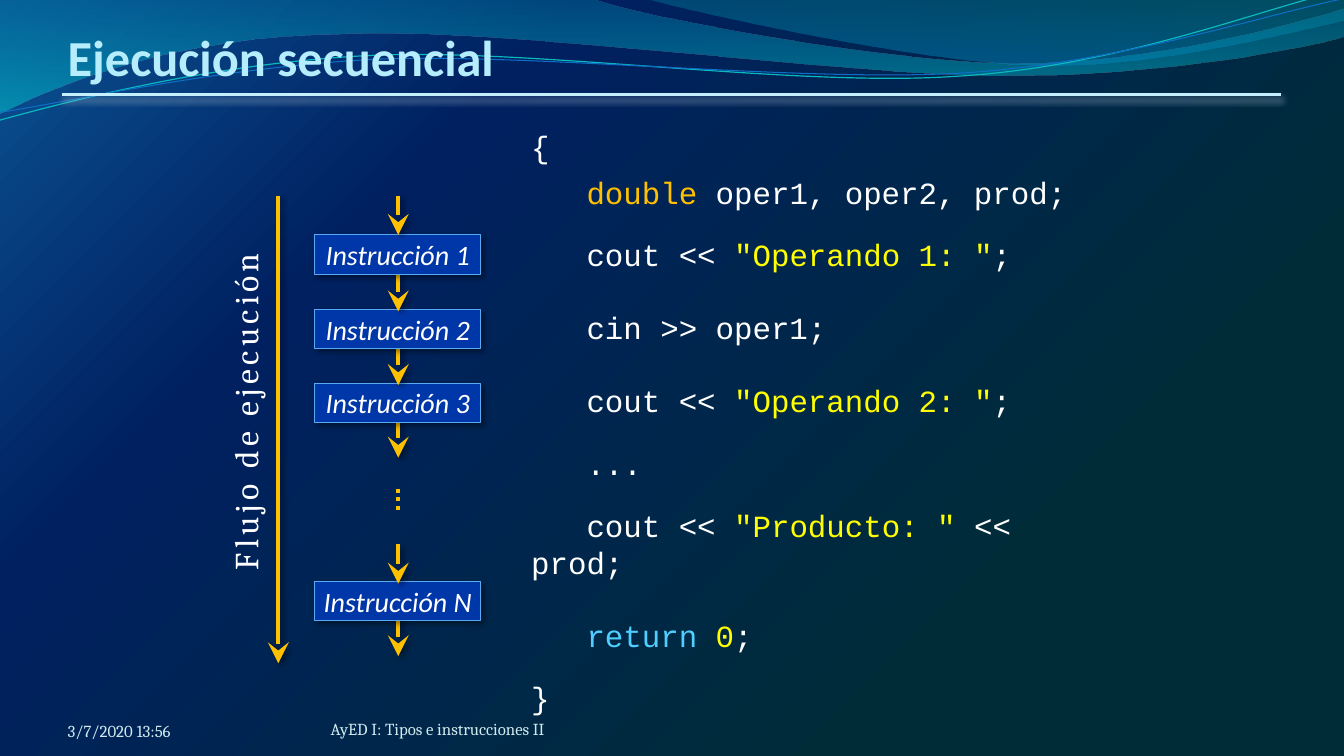
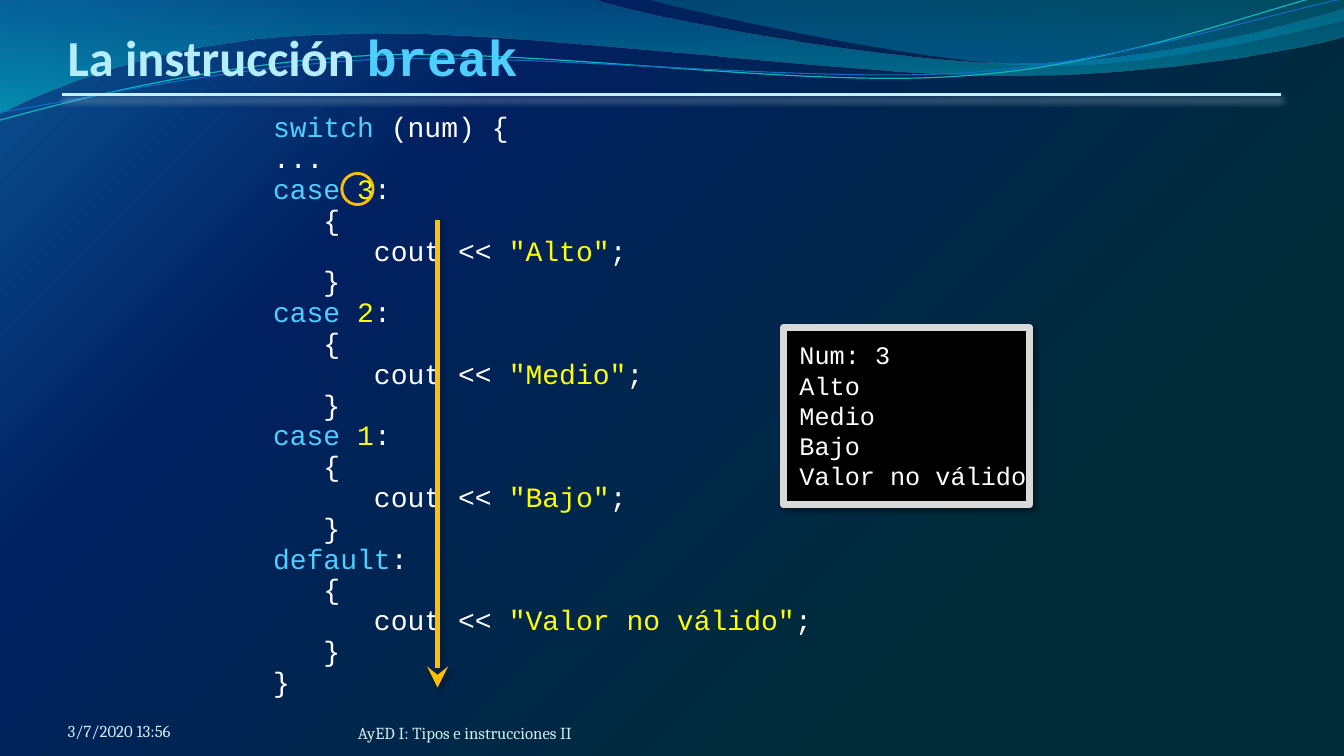
from dataclasses import dataclass
from typing import NamedTuple, Optional, Sequence

import pptx
import pptx.dml.color
import pptx.enum.dml
import pptx.enum.shapes
import pptx.enum.text
import pptx.oxml.ns
import pptx.util
from lxml import etree

PX = 9144
WHITE, AMBER, YELLOW, SKY = "FFFFFF", "FFC000", "FFFF00", "4FCEFF"
TITLE_COLOR, FOOTER_COLOR = "B5EDFD", "D1EAEE"
SANS, SERIF, MONO = "Calibri", "Cambria", "Courier New"
ANCHOR = pptx.enum.text.MSO_ANCHOR
ALIGN = pptx.enum.text.PP_ALIGN
SHAPE = pptx.enum.shapes.MSO_SHAPE
DATE = "3/7/2020 13:56"
COURSE = "AyED I: Tipos e instrucciones II"


class Box(NamedTuple):
    left: int
    top: int
    width: int
    height: int


class Stop(NamedTuple):
    position: int
    color: str
    opacity: int = 100


class Shadow(NamedTuple):
    color: str
    opacity: int
    blur: float
    distance: float
    angle: int


class Step(NamedTuple):
    label: str
    top: int
    arrow_top: int


@dataclass(frozen=True)
class Run:
    text: str
    color: str = WHITE
    font: str = MONO


@dataclass(frozen=True)
class Line:
    runs: Sequence[Run]
    after: int = 0


@dataclass(frozen=True)
class Style:
    size: int
    bold: bool = False
    italic: bool = False
    outline: Optional[str] = None
    tracking: int = 0
    leading: Optional[int] = None
    align: ALIGN = ALIGN.LEFT
    anchor: ANCHOR = ANCHOR.TOP
    insets: Sequence[int] = (10, 5, 10, 5)
    wrap: bool = True


@dataclass(frozen=True)
class Wave:
    start: Sequence[int]
    segments: Sequence[Sequence[int]]
    stops: Sequence[Stop] = ()
    line: str = ""
    weight: float = 0
    rotation: float = 0


SOFT = Shadow("000000", 40, 4, 3, 45)
RULE_SHADOW = Shadow("9FB5C8", 48, 4.5, 3, 90)
BACKDROP = (Stop(0, "0B5394"), Stop(28, "002060"), Stop(76, "002C38"))
WAVES = (
    Wave((0, 0), ((587, -1), (634, 17, 885, 63, 1011, 63), (1138, 63, 1278, 26, 1333, 9),
                  (1335, 36), (1311, 44, 1160, 76, 994, 75), (829, 75, 509, 28, 343, 34),
                  (172, 36, 61, 83, -1, 113)),
         (Stop(0, "0074A1", 45), Stop(100, "00C6CF", 55))),
    Wave((639, -1), ((679, 11, 909, 62, 1025, 65), (1141, 69, 1282, 32, 1333, 21), (1333, 0)),
         (Stop(0, "00A1A9", 30), Stop(80, "008BBF", 45))),
    Wave((-3, 88), ((63, 73, 211, 41, 369, 41), (528, 41, 788, 93, 949, 89),
                    (1109, 87, 1254, 36, 1333, 22)), line="0AB8BF", weight=0.85, rotation=357.3),
    Wave((-2, 80), ((62, 74, 218, 45, 378, 45), (537, 47, 795, 88, 954, 86),
                    (1114, 83, 1256, 42, 1336, 30)), line="0F6FC6", weight=0.75, rotation=357.3),
)
STEPS = (
    Step("Instrucción N", 577, 540),
    Step("Instrucción 3", 380, 343),
    Step("Instrucción 2", 307, 270),
    Step("Instrucción 1", 233, 194),
)
TITLE = Style(36, bold=True, outline="0070C0", anchor=ANCHOR.BOTTOM, insets=(0, 5, 0, 0))
FOOTER = Style(12, anchor=ANCHOR.BOTTOM, insets=(0, 0, 0, 0))
STEP = Style(20, italic=True, align=ALIGN.CENTER, anchor=ANCHOR.MIDDLE, insets=(8, 4, 8, 4))


def rgb(value: str) -> pptx.dml.color.RGBColor:
    return pptx.dml.color.RGBColor.from_string(value)


def emu(*lengths: int) -> list:
    return [pptx.util.Emu(length * PX) for length in lengths]


def add_node(parent: etree._Element, tag: str, **attributes) -> etree._Element:
    node = etree.SubElement(parent, pptx.oxml.ns.qn(tag))
    for name, value in attributes.items():
        node.set(name, str(value))
    return node


def add_color(parent: etree._Element, color: str, opacity: int) -> None:
    node = add_node(parent, "a:srgbClr", val=color)
    if opacity < 100:
        add_node(node, "a:alpha", val=opacity * 1000)


def set_gradient(owner, element: etree._Element, stops: Sequence[Stop], radial: bool = False) -> None:
    owner.fill.gradient()
    gradient = next(element.iter(pptx.oxml.ns.qn("a:gradFill")))
    for child in list(gradient):
        gradient.remove(child)
    stop_list = add_node(gradient, "a:gsLst")
    for stop in stops:
        add_color(add_node(stop_list, "a:gs", pos=stop.position * 1000), stop.color, stop.opacity)
    if radial:
        add_node(add_node(gradient, "a:path", path="circle"), "a:fillToRect", l=0, t=0, r=100000, b=100000)
    else:
        add_node(gradient, "a:lin", ang=90 * 60000, scaled=0)


def set_shadow(shape, shadow: Optional[Shadow] = None) -> None:
    effects = add_node(shape._element.spPr, "a:effectLst")
    if shadow:
        outer = add_node(effects, "a:outerShdw", blurRad=int(shadow.blur * 12700),
                         dist=int(shadow.distance * 12700), dir=shadow.angle * 60000,
                         algn="ctr", rotWithShape=0)
        add_color(outer, shadow.color, shadow.opacity)


def set_line(shape, color: str, weight: float) -> None:
    shape.line.color.rgb = rgb(color)
    shape.line.width = pptx.util.Pt(weight)


def write(shape, lines: Sequence[Line], style: Style) -> None:
    frame = shape.text_frame
    frame.word_wrap = style.wrap
    frame.vertical_anchor = style.anchor
    frame.margin_left, frame.margin_top, frame.margin_right, frame.margin_bottom = emu(*style.insets)
    for index, line in enumerate(lines):
        paragraph = frame.add_paragraph() if index else frame.paragraphs[0]
        paragraph.alignment = style.align
        paragraph.space_after = pptx.util.Pt(line.after)
        if style.leading:
            paragraph.line_spacing = pptx.util.Pt(style.leading)
        for part in line.runs:
            run = paragraph.add_run()
            run.text = part.text
            font = run.font
            font.name, font.size = part.font, pptx.util.Pt(style.size)
            font.bold, font.italic = style.bold, style.italic
            font.color.rgb = rgb(part.color)
            properties = run._r.get_or_add_rPr()
            if style.tracking:
                properties.set("spc", str(style.tracking * 100))
            if style.outline:
                outline = add_node(properties, "a:ln", w=9525)
                add_color(add_node(outline, "a:solidFill"), style.outline, 100)
                properties.insert(0, outline)


def add_text(slide, box: Box, lines: Sequence[Line], style: Style):
    shape = slide.shapes.add_textbox(*emu(*box))
    write(shape, lines, style)
    return shape


def add_panel(slide, kind: SHAPE, box: Box, line: str, weight: float,
              fill: Optional[str] = None, shadow: Optional[Shadow] = None):
    shape = slide.shapes.add_shape(kind, *emu(*box))
    if fill:
        shape.fill.solid()
        shape.fill.fore_color.rgb = rgb(fill)
    else:
        shape.fill.background()
    set_line(shape, line, weight)
    set_shadow(shape, shadow)
    return shape


def add_rule(slide, start: Sequence[int], end: Sequence[int], color: str = AMBER,
             weight: float = 3, shadow: Optional[Shadow] = None):
    connector = slide.shapes.add_connector(
        pptx.enum.shapes.MSO_CONNECTOR.STRAIGHT, *emu(*start, *end))
    set_line(connector, color, weight)
    set_shadow(connector, shadow)
    return connector


def add_down_arrow(slide, x: int, top: int, length: int) -> None:
    connector = add_rule(slide, (x, top), (x, top + length), shadow=SOFT)
    add_node(connector.line._get_or_add_ln(), "a:tailEnd", type="stealth", w="lg", len="lg")


def bend_segments(properties: etree._Element, wave: Wave) -> None:
    vertices = iter(list(properties.iter(pptx.oxml.ns.qn("a:lnTo"))))
    for segment in wave.segments:
        steps = [next(vertices) for _ in range(len(segment) // 2)]
        if len(steps) == 3:
            outline = steps[0].getparent()
            curve = add_node(outline, "a:cubicBezTo")
            outline.replace(steps[0], curve)
            for step in steps:
                curve.append(step[0])
            for step in steps[1:]:
                outline.remove(step)


def add_wave(slide, wave: Wave) -> None:
    builder = slide.shapes.build_freeform(*wave.start, scale=PX)
    vertices = [point for segment in wave.segments for point in zip(segment[::2], segment[1::2])]
    builder.add_line_segments(vertices, close=bool(wave.stops))
    shape = builder.convert_to_shape()
    bend_segments(shape._element.spPr, wave)
    shape.rotation = wave.rotation
    if wave.stops:
        set_gradient(shape, shape._element.spPr, wave.stops)
        shape.line.fill.background()
    else:
        shape.fill.background()
        set_line(shape, wave.line, wave.weight)
    set_shadow(shape)


def add_base_slide(presentation, title: Sequence[Run], footer_left: int, footer_top: int):
    slide = presentation.slides.add_slide(presentation.slide_layouts[6])
    set_gradient(slide.background, slide._element, BACKDROP, radial=True)
    for wave in WAVES:
        add_wave(slide, wave)
    add_rule(slide, (62, 94), (1271, 94), "C4EFFF", 2.25, RULE_SHADOW)
    add_text(slide, Box(67, 31, 1200, 55), [Line(title, 6)], TITLE)
    for box, text in ((Box(footer_left, footer_top, 813, 40), COURSE), (Box(67, 695, 311, 40), DATE)):
        add_text(slide, box, [Line([Run(text, FOOTER_COLOR, SERIF)])], FOOTER)
    return slide


def output_line(indent: int, message: str, after: int = 0, tail: str = ";") -> Line:
    return Line([Run(" " * indent + "cout << "), Run(f'"{message}"', YELLOW), Run(tail)], after)


def branch(label: Sequence[Run], message: str) -> list:
    return [Line([*label, Run(":")]), Line([Run("   {")]), output_line(6, message), Line([Run("   }")])]


def build_sequence(presentation) -> None:
    slide = add_base_slide(presentation, [Run("Ejecución secuencial", TITLE_COLOR, SANS)], 328, 693)
    code = [
        Line([Run("{")], 6),
        Line([Run("   "), Run("double", AMBER), Run(" oper1, oper2, prod;")], 18),
        output_line(3, "Operando 1: ", 26),
        Line([Run("   cin >> oper1;")], 26),
        output_line(3, "Operando 2: ", 18),
        Line([Run("   ...")], 18),
        output_line(3, "Producto: ", 26, " << prod;"),
        Line([Run("   return ", SKY), Run("0", YELLOW), Run(";")], 18),
        Line([Run("}")], 24),
    ]
    add_text(slide, Box(517, 122, 591, 579), code, Style(22))
    add_down_arrow(slide, 276, 194, 464)
    flow = add_text(slide, Box(218, 236, 61, 345), [Line([Run("Flujo de ejecución", WHITE, SERIF)], 6)],
                    Style(24, tracking=3, align=ALIGN.CENTER, wrap=False))
    flow.text_frame._txBody.bodyPr.set("vert", "vert270")
    for top in (611, 414):
        add_down_arrow(slide, 395, top, 40)
    dots = add_rule(slide, (395, 485), (395, 509))
    dots.line.dash_style = pptx.enum.dml.MSO_LINE.ROUND_DOT
    for step in STEPS:
        panel = add_panel(slide, SHAPE.RECTANGLE, Box(312, step.top, 165, 39), "59AAF2", 0.75, "0037A8", SOFT)
        write(panel, [Line([Run(step.label, WHITE, SANS)])], STEP)
        add_down_arrow(slide, 395, step.arrow_top, 39)


def build_break(presentation) -> None:
    title = [Run("La instrucción ", TITLE_COLOR, SANS), Run("break", SKY)]
    slide = add_base_slide(presentation, title, 355, 697)
    code = [Line([Run("switch", SKY), Run(" (num) {")]), Line([Run("...")])]
    messages = ("Alto", "Medio", "Bajo")
    for number, message in zip((3, 2, 1), messages):
        code += branch([Run("case ", SKY), Run(str(number), YELLOW)], message)
    code += branch([Run("default", SKY)], "Valor no válido")
    code.append(Line([Run("}")]))
    add_text(slide, Box(261, 107, 610, 596), code, Style(20, leading=22))
    add_panel(slide, SHAPE.OVAL, Box(339, 172, 31, 31), AMBER, 2)
    add_panel(slide, SHAPE.RECTANGLE, Box(777, 325, 244, 176), "D9D9D9", 5, "000000", SOFT)
    console = [Line([Run(text)]) for text in ("Num: 3", *messages, "Valor no válido")]
    add_text(slide, Box(783, 329, 248, 156), console, Style(18, insets=(10, 8, 10, 8), wrap=False))
    add_down_arrow(slide, 434, 218, 464)


def main() -> None:
    presentation = pptx.Presentation()
    presentation.slide_width, presentation.slide_height = emu(1333, 750)
    build_sequence(presentation)
    build_break(presentation)
    presentation.save("out.pptx")


if __name__ == "__main__":
    main()
